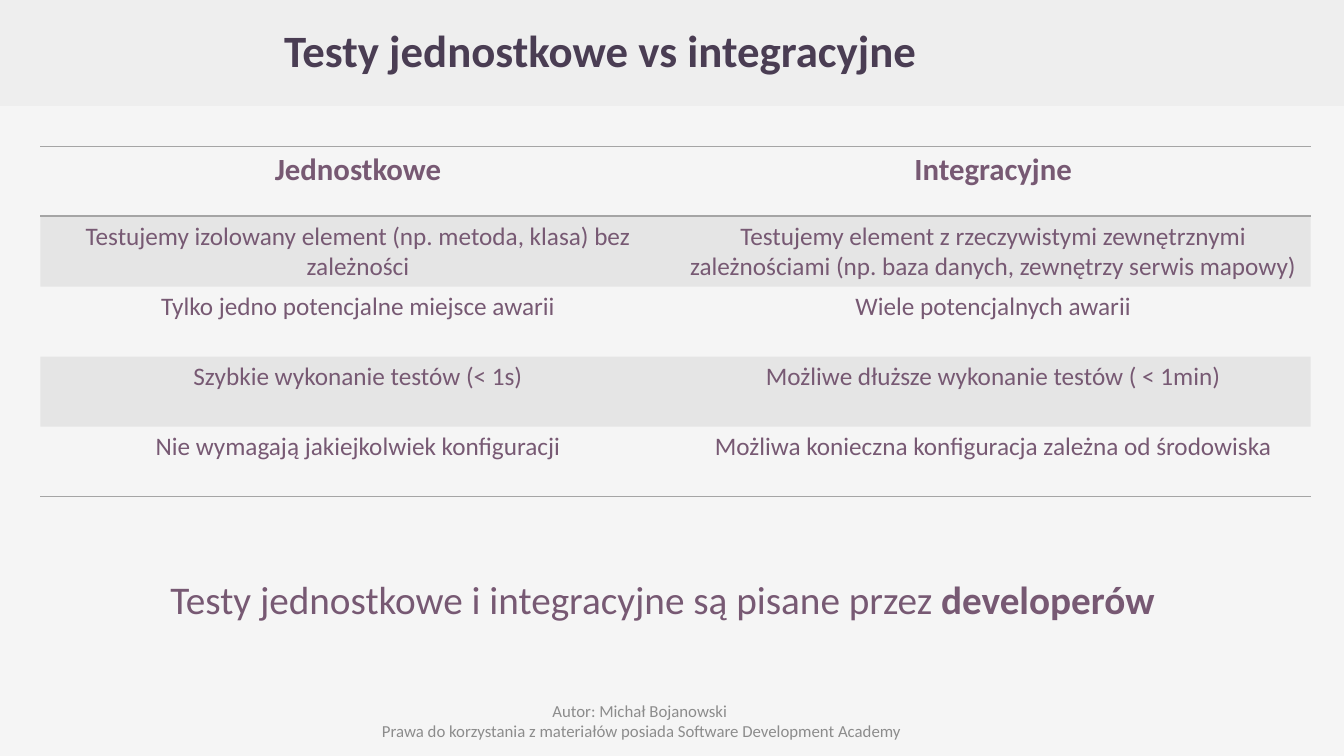
from dataclasses import dataclass

from lxml.etree import SubElement
from pptx import Presentation
from pptx.dml.color import RGBColor
from pptx.enum.shapes import MSO_SHAPE
from pptx.enum.text import MSO_ANCHOR, PP_ALIGN
from pptx.oxml import parse_xml
from pptx.oxml.ns import qn
from pptx.util import Inches, Pt

NO_STYLE = "{2D5ABB26-0587-4C30-8999-92F81FD0307C}"
ROWS = [
    ("Jednostkowe", "Integracyjne"),
    ("Testujemy izolowany element (np. metoda, klasa) bez zależności",
     "Testujemy element z rzeczywistymi zewnętrznymi zależnościami "
     "(np. baza danych, zewnętrzy serwis mapowy)"),
    ("Tylko jedno potencjalne miejsce awarii", "Wiele potencjalnych awarii"),
    ("Szybkie wykonanie testów (< 1s)",
     "Możliwe dłuższe wykonanie testów ( < 1min)"),
    ("Nie wymagają jakiejkolwiek konfiguracji",
     "Możliwa konieczna konfiguracja zależna od środowiska"),
]


@dataclass(frozen=True)
class Theme:
    font: str = "Calibri"
    back: str = "F5F5F5"
    band: str = "EEEEEE"
    title: str = "4A3D53"
    text: str = "775973"
    rule: str = "A5A5A5"
    foot: str = "8C8C8C"
    title_size: int = 32
    note_size: int = 28
    head_size: int = 22
    cell_size: int = 18
    foot_size: int = 12


THEME = Theme()


def paint(fill, color):
    fill.solid()
    fill.fore_color.rgb = RGBColor.from_string(color)


def style(para, size, color, bold=None):
    para.alignment = PP_ALIGN.CENTER
    font = para.font
    font.name, font.size, font.bold = THEME.font, Pt(size), bold
    font.color.rgb = RGBColor.from_string(color)


def add_text(slide, box):
    frame = slide.shapes.add_textbox(*map(Inches, box)).text_frame
    frame.word_wrap = True
    frame.vertical_anchor = MSO_ANCHOR.MIDDLE
    return frame


# Title band across the top
def add_title(slide, box, text):
    left, top, width, height = box
    band = slide.shapes.add_shape(MSO_SHAPE.RECTANGLE, *map(Inches, box))
    band.shadow.inherit = False
    paint(band.fill, THEME.band)
    band.line.fill.background()
    para = add_text(slide, (left, top, width - 1.42, height)).paragraphs[0]
    para.text = text
    para.line_spacing = 0.9
    style(para, THEME.title_size, THEME.title, True)


def add_edge(cell, side):
    line = parse_xml(
        '<a:%s xmlns:a="http://schemas.openxmlformats.org/drawingml/2006/main"'
        ' w="12700"><a:solidFill><a:srgbClr val="%s"/></a:solidFill></a:%s>'
        % (side, THEME.rule, side))
    cell._tc.get_or_add_tcPr().insert(0, line)


# Comparison table with ruled header and shaded odd rows
def add_grid(slide, box, rows):
    frame = slide.shapes.add_table(len(rows), len(rows[0]), *map(Inches, box))
    table = frame.table
    table.horz_banding = False
    table._tbl.tblPr.find(qn("a:tableStyleId")).text = NO_STYLE
    for i, row in enumerate(rows):
        for j, text in enumerate(row):
            cell = table.cell(i, j)
            cell.text = text
            size = THEME.cell_size if i else THEME.head_size
            style(cell.text_frame.paragraphs[0], size, THEME.text, i == 0)
            if i % 2:
                paint(cell.fill, THEME.rule)
                tint = cell._tc.tcPr.find(".//" + qn("a:srgbClr"))
                SubElement(tint, qn("a:alpha")).set("val", "20000")
            else:
                cell.fill.background()
            # Bottom edge goes in first so that the top edge precedes it
            if i in (0, len(rows) - 1):
                add_edge(cell, "lnB")
            if i == 0:
                add_edge(cell, "lnT")


# Closing statement with its key word in bold
def add_note(slide, box, text, key):
    para = add_text(slide, box).paragraphs[0]
    para.line_spacing = 0.9
    style(para, THEME.note_size, THEME.text)
    para.add_run().text = text
    run = para.add_run()
    run.text = key
    run.font.bold = True


# Author and rights
def add_foot(slide, box, lines):
    frame = add_text(slide, box)
    frame.text = "\n".join(lines)
    for para in frame.paragraphs:
        style(para, THEME.foot_size, THEME.foot)


def main():
    deck = Presentation()
    deck.slide_width, deck.slide_height = Inches(13.33), Inches(7.5)
    slide = deck.slides.add_slide(deck.slide_layouts[6])
    paint(slide.background.fill, THEME.back)
    add_title(slide, (0, 0, 13.33, 1.05), "Testy jednostkowe vs integracyjne")
    add_grid(slide, (0.4, 1.45, 12.6, 3.47), ROWS)
    add_foot(slide, (3.5, 6.95, 5.73, 0.4), [
        "Autor: Michał Bojanowski ",
        "Prawa do korzystania z materiałów posiada Software Development Academy",
    ])
    add_note(slide, (0.82, 5.6, 11.5, 0.75),
             "Testy jednostkowe i integracyjne są pisane przez ", "developerów")
    deck.save("out.pptx")


if __name__ == "__main__":
    main()
